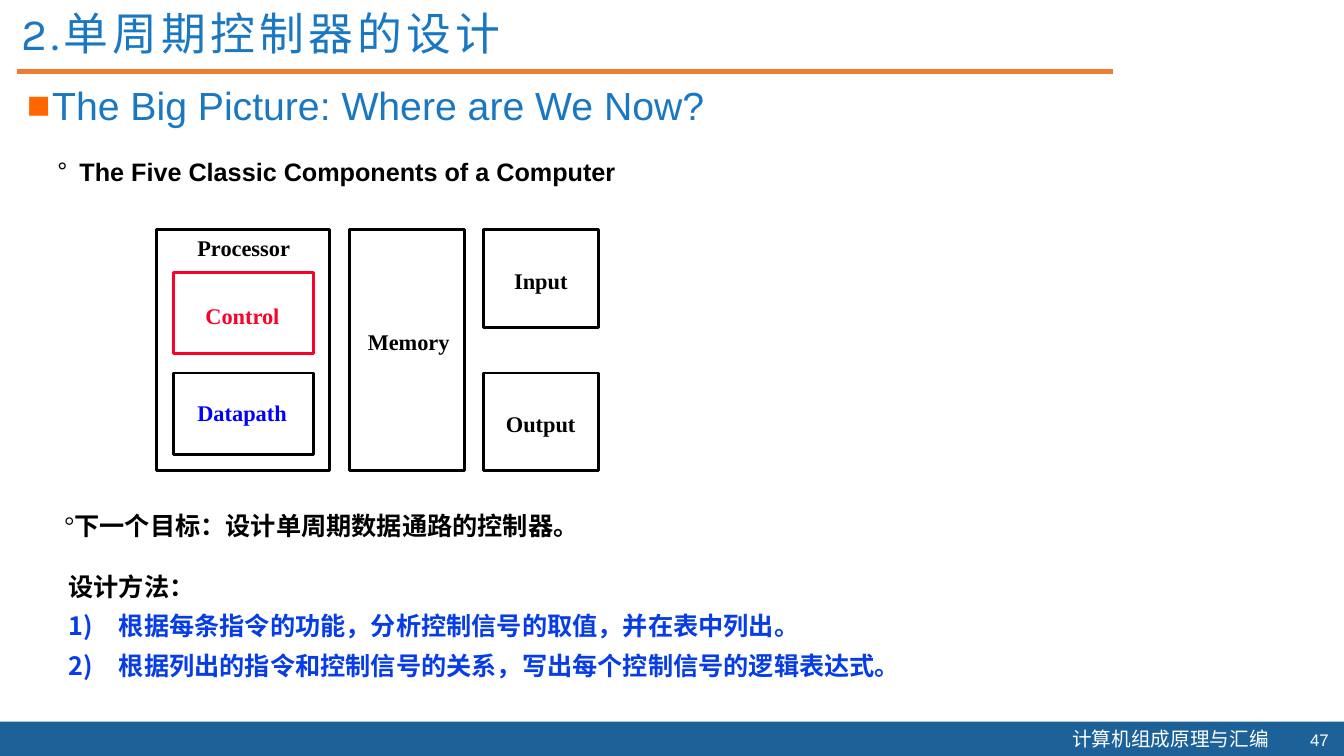
from lxml import etree
from pptx import Presentation
from pptx.dml.color import RGBColor
from pptx.enum.shapes import MSO_CONNECTOR, MSO_SHAPE
from pptx.enum.text import MSO_ANCHOR, MSO_AUTO_SIZE, PP_ALIGN
from pptx.oxml.ns import qn
from pptx.util import Pt

RECT, LINE = MSO_SHAPE.RECTANGLE, MSO_CONNECTOR.STRAIGHT
TOP, MIDDLE = MSO_ANCHOR.TOP, MSO_ANCHOR.MIDDLE
LEFT, CENTER, RIGHT = PP_ALIGN.LEFT, PP_ALIGN.CENTER, PP_ALIGN.RIGHT
NO_FIT = MSO_AUTO_SIZE.NONE

COLORS = {
    "bar": "1C6299", "rule": "ED7D31", "title": "1A78C3", "mark": "FF6600",
    "black": "000000", "white": "FFFFFF", "red": "FC0128",
    "data": "0000FF", "step": "063DE8",
}
SANS, SERIF, HAN = "Arial", "Times New Roman", "Noto Sans CJK SC"

TITLE = "2.单周期控制器的设计"
HEAD = "The Big Picture: Where are We Now?"
TOPIC = "The Five Classic Components of a Computer"
GOAL = "下一个目标：设计单周期数据通路的控制器。"
METHOD = "设计方法："
STEPS = [
    "根据每条指令的功能，分析控制信号的取值，并在表中列出。",
    "根据列出的指令和控制信号的关系，写出每个控制信号的逻辑表达式。",
]
COURSE, PAGE = "计算机组成原理与汇编", "47"

# Name, box (left, top, width, height), line colour,
# label (left, top, width), label colour, alignment
INNER, PORT = (100, 58.3), (82, 69.8)
PARTS = [
    ("Control", (123.8, 194.4, *INNER), "red", (139.7, 212.4, 67.7), "red", LEFT),
    ("Datapath", (123.8, 266.4, *INNER), "black", (133.9, 281.5, 78.5), "data", LEFT),
    ("Memory", (249.8, 164.2, 82, 172), "black", (255.6, 231.1, 72.7), "black", LEFT),
    ("Processor", (111.6, 164.2, 123.8, 172), "black", (133.9, 163.4, 80.6), "black", LEFT),
    ("Input", (345.6, 164.2, *PORT), "black", (360, 187.2, 52.6), "black", CENTER),
    ("Output", (345.6, 266.4, *PORT), "black", (354.2, 289.4, 64.1), "black", CENTER),
]
LABEL_H = 25.9


def rgb(name):
    return RGBColor.from_string(COLORS[name])


def put_run(para, text, font, size, color, bold=False, gap=0):
    run = para.add_run()
    run.text = text
    run.font.size, run.font.bold = Pt(size), bold
    run.font.color.rgb = rgb(color)
    run.font.name = font
    props = run._r.get_or_add_rPr()
    etree.SubElement(props, qn("a:ea"), typeface=HAN)
    if gap:
        props.set("spc", str(gap * 100))


def indent(para, size):
    """Hang the first line by the given number of points."""
    props = para._p.get_or_add_pPr()
    props.set("marL", str(Pt(size)))
    props.set("indent", str(-Pt(size)))
    return props


def bullet(para, size, font, char=None, color=None):
    """Add a bullet character, or a number when no character is given."""
    props = indent(para, size)
    if color:
        tint = etree.SubElement(props, qn("a:buClr"))
        etree.SubElement(tint, qn("a:srgbClr"), val=COLORS[color])
    etree.SubElement(props, qn("a:buFont"), typeface=font)
    if char:
        etree.SubElement(props, qn("a:buChar"), char=char)
    else:
        etree.SubElement(props, qn("a:buAutoNum"), type="arabicParenR")


def set_frame(shape, wrap=True, anchor=TOP, pad=(7.2, 3.6)):
    frame = shape.text_frame
    frame.auto_size, frame.word_wrap = NO_FIT, wrap
    frame.vertical_anchor = anchor
    frame.margin_left = frame.margin_right = Pt(pad[0])
    frame.margin_top = frame.margin_bottom = Pt(pad[1])
    return frame


def add_text(slide, at, align=LEFT, **frame):
    """Add a text box and return its first paragraph."""
    box = slide.shapes.add_textbox(*map(Pt, at))
    para = set_frame(box, **frame).paragraphs[0]
    para.alignment = align
    return para


def add_rect(slide, at, fill=None, line=None):
    rect = slide.shapes.add_shape(RECT, *map(Pt, at))
    rect.shadow.inherit = False
    if fill:
        rect.fill.solid()
        rect.fill.fore_color.rgb = rgb(fill)
    else:
        rect.fill.background()
    if line:
        rect.line.color.rgb, rect.line.width = rgb(line), Pt(2)
    else:
        rect.line.fill.background()


def add_frame(slide):
    """Add the footer bar, the rule, the title and the page number."""
    add_rect(slide, (0, 515.5, 960, 25), fill="bar")
    para = add_text(slide, (758.9, 515.5, 157, 24.5))
    put_run(para, COURSE, HAN, 14, "white")
    para = add_text(slide, (920.2, 517.7, 36, 21.6), RIGHT, anchor=MIDDLE)
    put_run(para, PAGE, SANS, 12, "white")

    rule = slide.shapes.add_connector(LINE, Pt(12.5), Pt(51.1), Pt(794.9), Pt(51.1))
    rule.line.color.rgb, rule.line.width = rgb("rule"), Pt(3)
    etree.SubElement(rule._element.spPr, qn("a:effectLst"))

    title = slide.shapes.title
    title.left, title.top, title.width, title.height = map(Pt, (7.9, 5, 766.8, 34.6))
    para = set_frame(title).paragraphs[0]
    para.alignment, para.line_spacing = LEFT, 0.9
    put_run(para, TITLE, "Karla", 32, "title", gap=3)


def add_parts(slide):
    for name, box, edge, label, color, align in PARTS:
        add_rect(slide, box, line=edge)
        para = add_text(slide, (*label, LABEL_H), align, wrap=False)
        put_run(para, name, SERIF, 16, color, bold=True)


def add_notes(slide):
    """Add the heading, the topic, the goal and the design steps."""
    para = add_text(slide, (12.2, 54.7, 931.7, 57.6))
    bullet(para, 18, SANS, "■", "mark")
    put_run(para, HEAD, SANS, 28, "title")

    para = add_text(slide, (36, 109.4, 645, 200.9), pad=(5, 2.2))
    bullet(para, 15.8, SANS, "°")
    put_run(para, TOPIC, SANS, 18, "black", bold=True)

    para = add_text(slide, (38.9, 364.3, 395.3, 25.9), wrap=False)
    para.line_spacing = 0.85
    bullet(para, 0, SERIF, "°")
    put_run(para, GOAL, SERIF, 18, "black", bold=True)

    para = add_text(slide, (41.8, 398.2, 847.4, 119.5))
    frame = para._parent
    para.line_spacing = 1.3
    indent(para, 36)
    put_run(para, METHOD, SERIF, 18, "black", bold=True)
    for step in STEPS:
        para = frame.add_paragraph()
        para.line_spacing = 1.3
        bullet(para, 36, HAN)
        put_run(para, step, SERIF, 18, "step", bold=True)


def main():
    deck = Presentation()
    deck.slide_width, deck.slide_height = Pt(960), Pt(540)
    slide = deck.slides.add_slide(deck.slide_layouts[5])
    add_frame(slide)
    add_notes(slide)
    add_parts(slide)
    deck.save("out.pptx")


if __name__ == "__main__":
    main()
